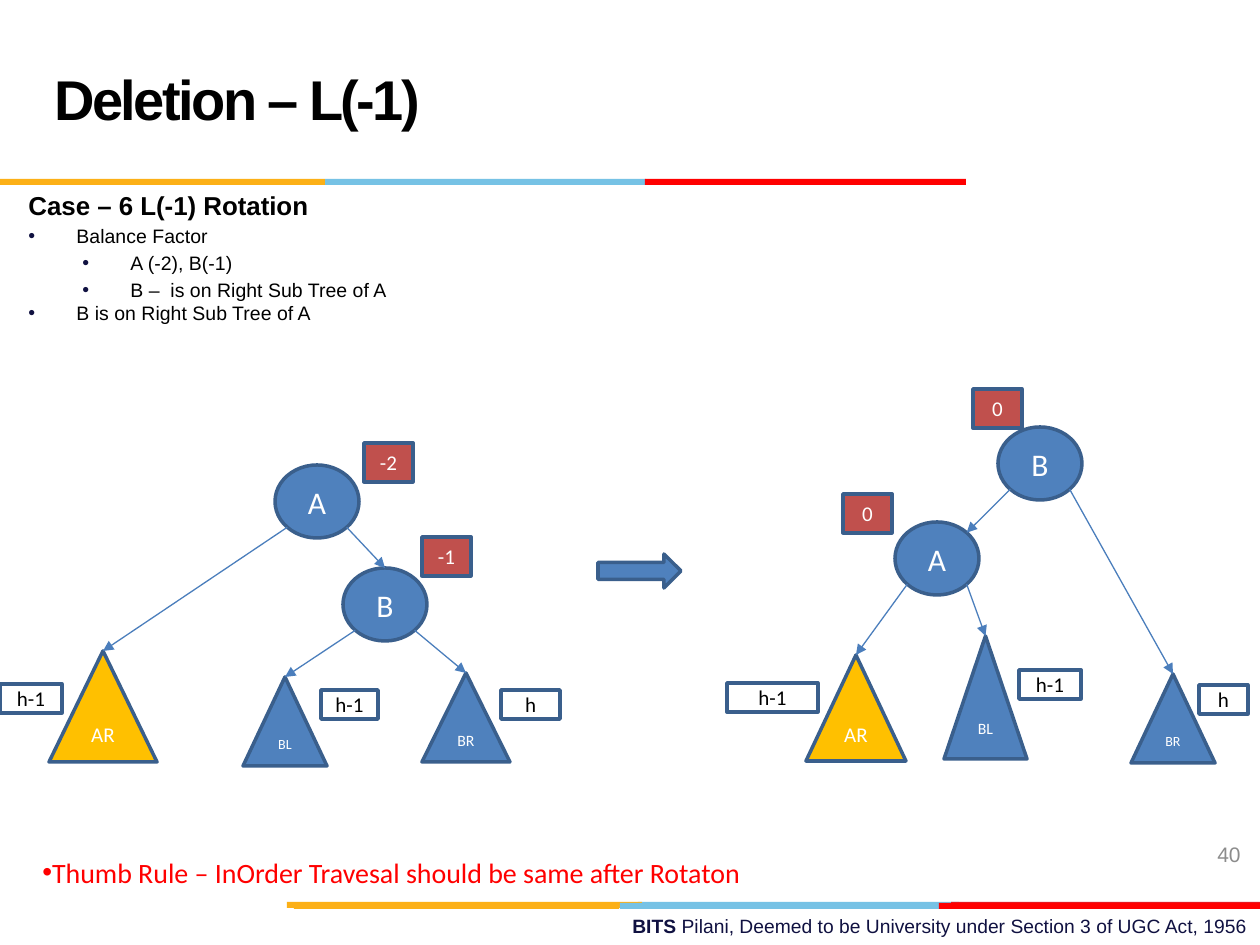
"""Builds the slide on the L(-1) rotation after a deletion in an AVL tree."""
import dataclasses
import math

import lxml.etree
import pptx
import pptx.dml.color
import pptx.enum.shapes
import pptx.enum.text
import pptx.oxml.ns
import pptx.util

SHAPE = pptx.enum.shapes.MSO_SHAPE
ALIGN = pptx.enum.text.PP_ALIGN
ANCHOR = pptx.enum.text.MSO_ANCHOR
PX_PER_INCH = 126


@dataclasses.dataclass(frozen=True)
class Theme:
    heading_font: str = "Arial"
    label_font: str = "Calibri"
    black: str = "000000"
    white: str = "FFFFFF"
    navy: str = "101141"
    grey: str = "8C8C8C"
    red: str = "FF0000"
    crimson: str = "E31C24"
    sky: str = "76C2E5"
    amber: str = "FCB017"
    node: str = "4F81BD"
    outline: str = "3A5F8C"
    edge: str = "4B7EBC"
    badge: str = "C0504D"
    gold: str = "FFC000"
    title_size: float = 32
    case_size: float = 14.8
    bullet_size: float = 11.1
    footer_size: float = 11
    rule_size: float = 16
    node_size: float = 18
    label_size: float = 12
    outline_width: float = 2
    edge_width: float = 0.75


def px(length):
    return pptx.util.Emu(round(length * 914400 / PX_PER_INCH))


def rgb(value):
    return pptx.dml.color.RGBColor.from_string(value)


def add_element(parent, tag, **attributes):
    return lxml.etree.SubElement(parent, pptx.oxml.ns.qn(tag), attributes)


def write(para, text, *, font, size, color, bold=False, align=None, tracking=None,
          line_spacing=None, before=0, level=0, margin=0, hanging=0,
          bullet=None, bullet_color=None):
    properties = para._p.get_or_add_pPr()
    if bullet:
        properties.set("marL", str(px(margin)))
        properties.set("indent", str(-px(hanging)))
        if bullet_color:
            holder = add_element(properties, "a:buClr")
            add_element(holder, "a:srgbClr", val=bullet_color)
        add_element(properties, "a:buFont", typeface="Arial")
        add_element(properties, "a:buChar", char=bullet)
    para.level = level
    if align is not None:
        para.alignment = align
    if line_spacing is not None:
        para.line_spacing = line_spacing
    if before:
        para.space_before = pptx.util.Pt(before)
    span = para.add_run()
    span.text = text
    span.font.name = font
    span.font.size = pptx.util.Pt(size)
    span.font.bold = bold
    span.font.color.rgb = rgb(color)
    if tracking is not None:
        span._r.get_or_add_rPr().set("spc", str(round(tracking * 100)))


def corner(circle, right, down):
    """Return the point on a circle's diagonal, right and down being 1 or -1."""
    reach = math.sqrt(0.5) / 2
    return (circle.left + circle.width * (0.5 + right * reach),
            circle.top + circle.height * (0.5 + down * reach))


class SlideBuilder:
    def __init__(self, page, theme):
        self.page = page
        self.theme = theme

    def title(self, text, left, top, width, height):
        box = self.page.shapes.title
        box.left, box.top, box.width, box.height = map(px, (left, top, width, height))
        frame = box.text_frame
        frame.auto_size = pptx.enum.text.MSO_AUTO_SIZE.NONE
        frame.vertical_anchor = ANCHOR.MIDDLE
        write(frame.paragraphs[0], text, font=self.theme.heading_font,
              size=self.theme.title_size, color=self.theme.black, bold=True,
              align=ALIGN.LEFT, tracking=-1.5, line_spacing=pptx.util.Pt(36))

    def text_box(self, left, top, width, height, anchor=ANCHOR.TOP):
        box = self.page.shapes.add_textbox(*map(px, (left, top, width, height)))
        box.text_frame.word_wrap = True
        box.text_frame.vertical_anchor = anchor
        return box.text_frame

    def shape(self, kind, left, top, width, height, fill, text="", size=None,
              color=None, outlined=True):
        box = self.page.shapes.add_shape(kind, *map(px, (left, top, width, height)))
        box.shadow.inherit = False
        box.fill.solid()
        box.fill.fore_color.rgb = rgb(fill)
        if outlined:
            box.line.color.rgb = rgb(self.theme.outline)
            box.line.width = pptx.util.Pt(self.theme.outline_width)
        else:
            box.line.fill.background()
        if text:
            box.text_frame.word_wrap = False
            box.text_frame.vertical_anchor = ANCHOR.MIDDLE
            write(box.text_frame.paragraphs[0], text, font=self.theme.label_font,
                  size=size or self.theme.label_size,
                  color=color or self.theme.white, align=ALIGN.CENTER)
        return box

    def stripe(self, left, top, width, fill):
        self.shape(SHAPE.RECTANGLE, left, top, width, 6, fill, outlined=False)

    def circle(self, text, left, top):
        return self.shape(SHAPE.FLOWCHART_CONNECTOR, left, top, 84, 73,
                          self.theme.node, text, self.theme.node_size)

    def subtree(self, text, left, top, width, height, size, fill=None):
        return self.shape(SHAPE.ISOSCELES_TRIANGLE, left, top, width, height,
                          fill or self.theme.node, text, size)

    def height_label(self, text, left, top, width):
        self.shape(SHAPE.RECTANGLE, left, top, width, 29, self.theme.white, text,
                   color=self.theme.black)

    def balance_badge(self, text, left, top):
        self.shape(SHAPE.RECTANGLE, left, top, 49, 39, self.theme.badge, text)

    def edge(self, parent, side, child, point=None):
        start = corner(parent, side, 1)
        end = point or (child.left + child.width / 2, child.top)
        line = self.page.shapes.add_connector(
            pptx.enum.shapes.MSO_CONNECTOR.STRAIGHT,
            *(pptx.util.Emu(round(value)) for value in (*start, *end)))
        if point is None:
            line.end_connect(child, 0)
        line.line.color.rgb = rgb(self.theme.edge)
        line.line.width = pptx.util.Pt(self.theme.edge_width)
        add_element(line.line._get_or_add_ln(), "a:tailEnd", type="triangle")
        add_element(line._element.spPr, "a:effectLst")


def add_frame(builder):
    theme = builder.theme
    footer = builder.text_box(451, 908, 809, 37).paragraphs[0]
    for text, bold in (("BITS ", True),
                       ("Pilani, Deemed to be University under Section 3 of UGC Act, 1956", False)):
        write(footer, text, font=theme.heading_font, size=theme.footer_size,
              color=theme.navy, bold=bold, align=ALIGN.RIGHT)
    for left, top, width, fill in (
            (638, 902, 321, theme.sky), (951, 902, 309, theme.crimson),
            (287, 902, 355, theme.amber), (620, 903, 321, theme.sky),
            (294, 903, 325, theme.amber), (939, 903, 321, theme.red),
            (325, 179, 321, theme.sky), (0, 179, 325, theme.amber),
            (645, 179, 321, theme.red)):
        builder.stripe(left, top, width, fill)
    builder.title("Deletion – L(-1)", 42, 21, 903, 158)
    number = builder.text_box(959, 829, 294, 50, ANCHOR.MIDDLE)
    write(number.paragraphs[0], "40", font=theme.heading_font,
          size=theme.label_size, color=theme.grey, align=ALIGN.RIGHT)


def add_case(builder):
    theme = builder.theme
    frame = builder.text_box(16, 189, 674, 152)
    write(frame.paragraphs[0], "Case – 6 L(-1) Rotation", font=theme.heading_font,
          size=theme.case_size, color=theme.black, bold=True, line_spacing=0.8)
    for text, level, margin, spacing in (
            ("Balance Factor", 1, 48, None), ("A (-2), B(-1)", 2, 102, None),
            ("B –  is on Right Sub Tree of A", 2, 102, None),
            ("B is on Right Sub Tree of A", 0, 48, 0.8)):
        write(frame.add_paragraph(), text, font=theme.heading_font,
              size=theme.bullet_size, color=theme.black, level=level, margin=margin,
              hanging=48, before=2.2, line_spacing=spacing, bullet="•",
              bullet_color=theme.navy)


def add_trees(builder):
    theme = builder.theme
    root = builder.circle("A", 275, 465)
    child = builder.circle("B", 343, 568)
    builder.edge(root, -1, builder.subtree("AR", 49, 651, 108, 111, 12, theme.gold))
    builder.edge(root, 1, child)
    builder.edge(child, -1, builder.subtree("BL", 243, 677, 84, 89, 8))
    builder.edge(child, 1, builder.subtree("BR", 422, 673, 88, 89, 9))

    new_root = builder.circle("B", 998, 427)
    new_child = builder.circle("A", 895, 522)
    builder.edge(new_root, -1, new_child, corner(new_child, 1, -1))
    builder.edge(new_root, 1, builder.subtree("BR", 1131, 674, 84, 89, 8))
    builder.edge(new_child, -1, builder.subtree("AR", 806, 655, 100, 106, 12, theme.gold))
    builder.edge(new_child, 1, builder.subtree("BL", 944, 636, 83, 123, 9))

    builder.shape(SHAPE.RIGHT_ARROW, 598, 554, 83, 34, theme.node)
    for label in (("h-1", 0, 684, 62), ("h-1", 321, 690, 57), ("h", 501, 690, 59),
                  ("h-1", 727, 683, 91), ("h-1", 1019, 670, 62), ("h", 1199, 685, 49)):
        builder.height_label(*label)
    for badge in (("-2", 364, 443), ("-1", 422, 537), ("0", 973, 389), ("0", 843, 494)):
        builder.balance_badge(*badge)


def main():
    deck = pptx.Presentation()
    deck.slide_width, deck.slide_height = px(1260), px(945)
    builder = SlideBuilder(deck.slides.add_slide(deck.slide_layouts[5]), Theme())
    add_frame(builder)
    add_case(builder)
    add_trees(builder)
    rule = builder.text_box(30, 849, 852, 47)
    write(rule.paragraphs[0], "Thumb Rule – InOrder Travesal should be same after Rotaton",
          font=builder.theme.label_font, size=builder.theme.rule_size,
          color=builder.theme.red, bullet="•")
    deck.save("out.pptx")


if __name__ == "__main__":
    main()
